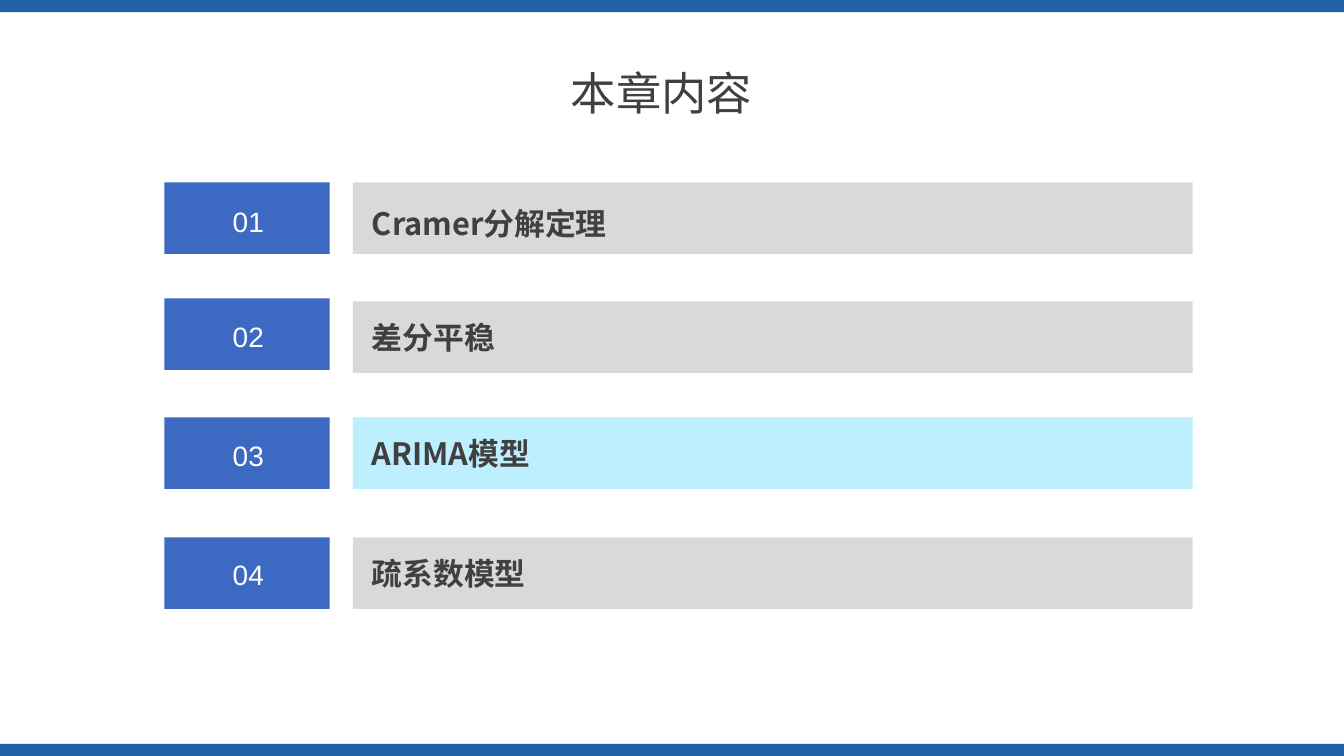
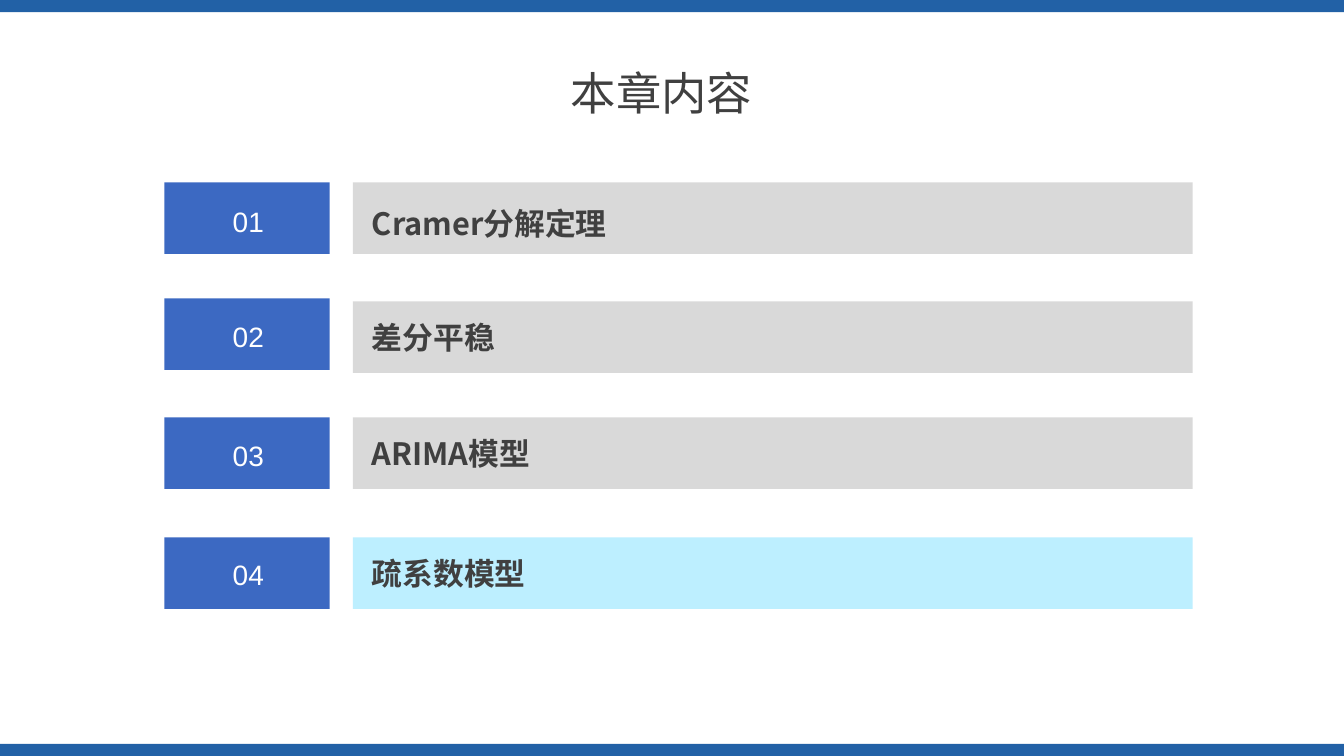
"""Build two chapter agenda slides, each highlighting its current section."""
import pptx
import pptx.dml.color
import pptx.enum.shapes
import pptx.enum.text
import pptx.oxml
import pptx.oxml.ns
import pptx.util

Inches = pptx.util.Inches
RGBColor = pptx.dml.color.RGBColor
ANCHOR = pptx.enum.text.MSO_ANCHOR

BAND_BLUE = RGBColor(0x22, 0x61, 0xA6)
NUMBER_BLUE = RGBColor(0x3C, 0x69, 0xC2)
BAR_GREY = RGBColor(0xD9, 0xD9, 0xD9)
HIGHLIGHT = RGBColor(0xBD, 0xEF, 0xFF)
TEXT_GREY = RGBColor(0x40, 0x40, 0x40)
WHITE = RGBColor(0xFF, 0xFF, 0xFF)

CHINESE_FONT = "Noto Sans CJK SC"
NUMBER_FONT = "Arial"
SLIDE_WIDTH, SLIDE_HEIGHT = 13.33, 7.5
BAND_HEIGHT = 0.12
ROW_HEIGHT = 0.71

SECTIONS = [
    ("Cramer分解定理", 1.81, 1.81, 1.98, 0.8),
    ("差分平稳", 2.96, 2.99, 3.12, ROW_HEIGHT),
    ("ARIMA模型", 4.14, 4.14, 4.3, ROW_HEIGHT),
    ("疏系数模型", 5.33, 5.33, 5.48, ROW_HEIGHT),
]


def add_rectangle(slide, left, top, width, height, color):
    shape = slide.shapes.add_shape(
        pptx.enum.shapes.MSO_SHAPE.RECTANGLE,
        Inches(left), Inches(top), Inches(width), Inches(height))
    shape.shadow.inherit = False
    shape.fill.solid()
    shape.fill.fore_color.rgb = color
    shape.line.fill.background()
    return shape


def write_text(shape, text, size, font_name, color, bold=False, anchor=ANCHOR.MIDDLE):
    frame = shape.text_frame
    frame.word_wrap = False
    frame.auto_size = pptx.enum.text.MSO_AUTO_SIZE.NONE
    frame.vertical_anchor = anchor
    paragraph = frame.paragraphs[0]
    paragraph.alignment = pptx.enum.text.PP_ALIGN.LEFT
    run = paragraph.add_run()
    run.text = text
    run.font.size = pptx.util.Pt(size)
    run.font.bold = bold
    run.font.color.rgb = color
    run.font.name = font_name
    east_asian = pptx.oxml.parse_xml(
        f'<a:ea {pptx.oxml.ns.nsdecls("a")} typeface="{font_name}"/>')
    run._r.get_or_add_rPr().append(east_asian)


presentation = pptx.Presentation()
presentation.slide_width = Inches(SLIDE_WIDTH)
presentation.slide_height = Inches(SLIDE_HEIGHT)
layout = presentation.slide_layouts.get_by_name("Title Only")

for highlighted in (3, 4):
    slide = presentation.slides.add_slide(layout)

    if highlighted == 3:
        for band_top in (SLIDE_HEIGHT - BAND_HEIGHT, 0):
            band = add_rectangle(slide, 0, band_top, SLIDE_WIDTH, BAND_HEIGHT, BAND_BLUE)
            layout.shapes.element.append(band.element)

    title = slide.shapes.title
    title.left, title.top = Inches(5.56), Inches(0.56)
    title.width, title.height = Inches(2.22), Inches(ROW_HEIGHT)
    write_text(title, "本章内容", 32.4, CHINESE_FONT, TEXT_GREY)

    for number, section in enumerate(SECTIONS, start=1):
        name, box_top, bar_top, number_top, name_height = section
        bar_color = HIGHLIGHT if number == highlighted else BAR_GREY
        add_rectangle(slide, 3.5, bar_top, 8.33, ROW_HEIGHT, bar_color)
        add_rectangle(slide, 1.63, box_top, 1.64, ROW_HEIGHT, NUMBER_BLUE)

        name_box = slide.shapes.add_textbox(
            Inches(3.59), Inches(bar_top), Inches(5.65), Inches(name_height))
        write_text(name_box, name, 22, CHINESE_FONT, TEXT_GREY, bold=True)

        number_box = slide.shapes.add_textbox(
            Inches(2.21), Inches(number_top), Inches(0.51), Inches(0.44))
        write_text(number_box, f"{number:02d}", 20, NUMBER_FONT, WHITE, anchor=ANCHOR.TOP)

presentation.save("out.pptx")
